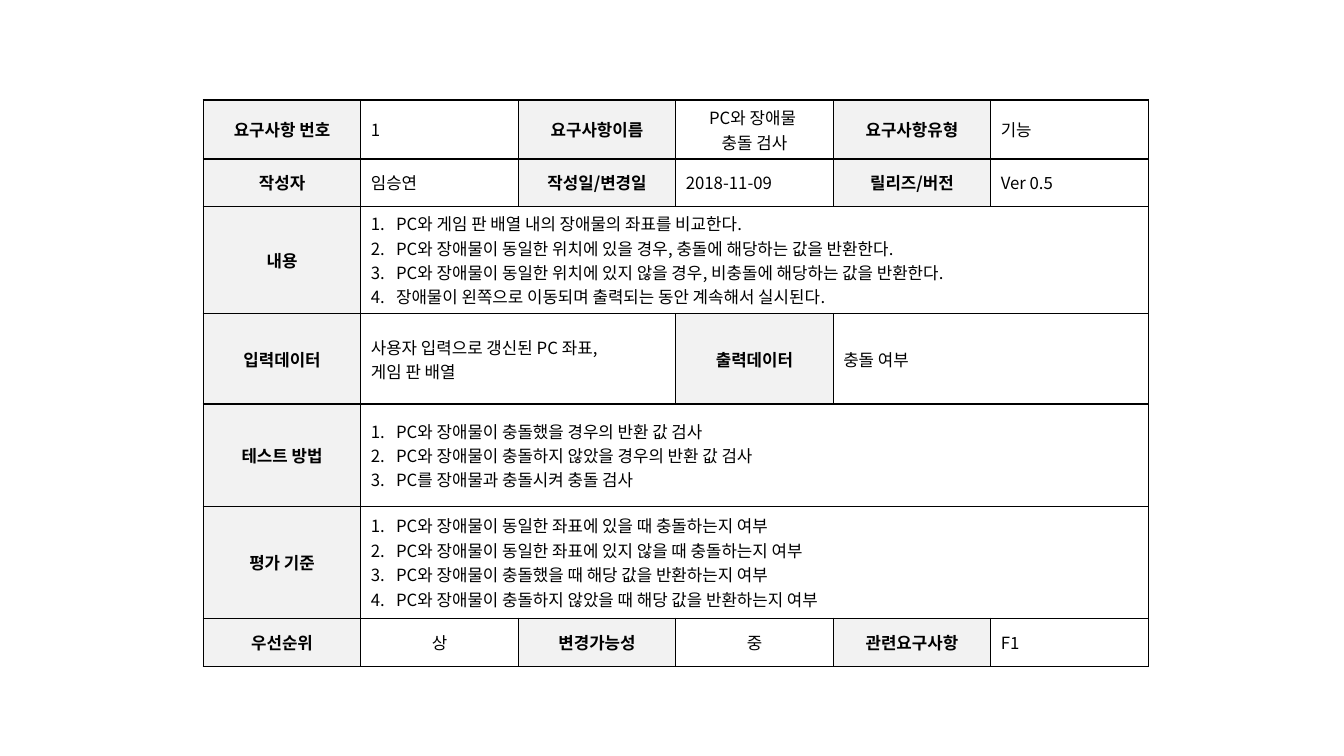
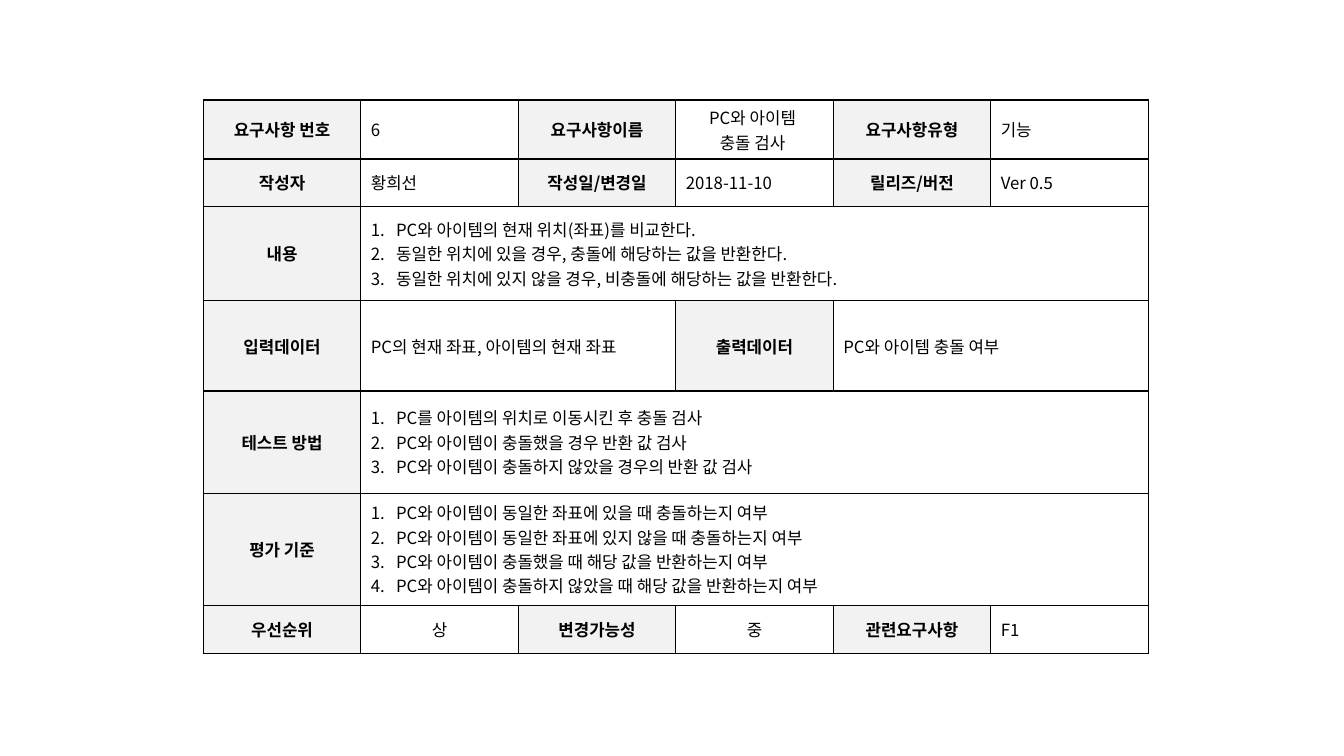
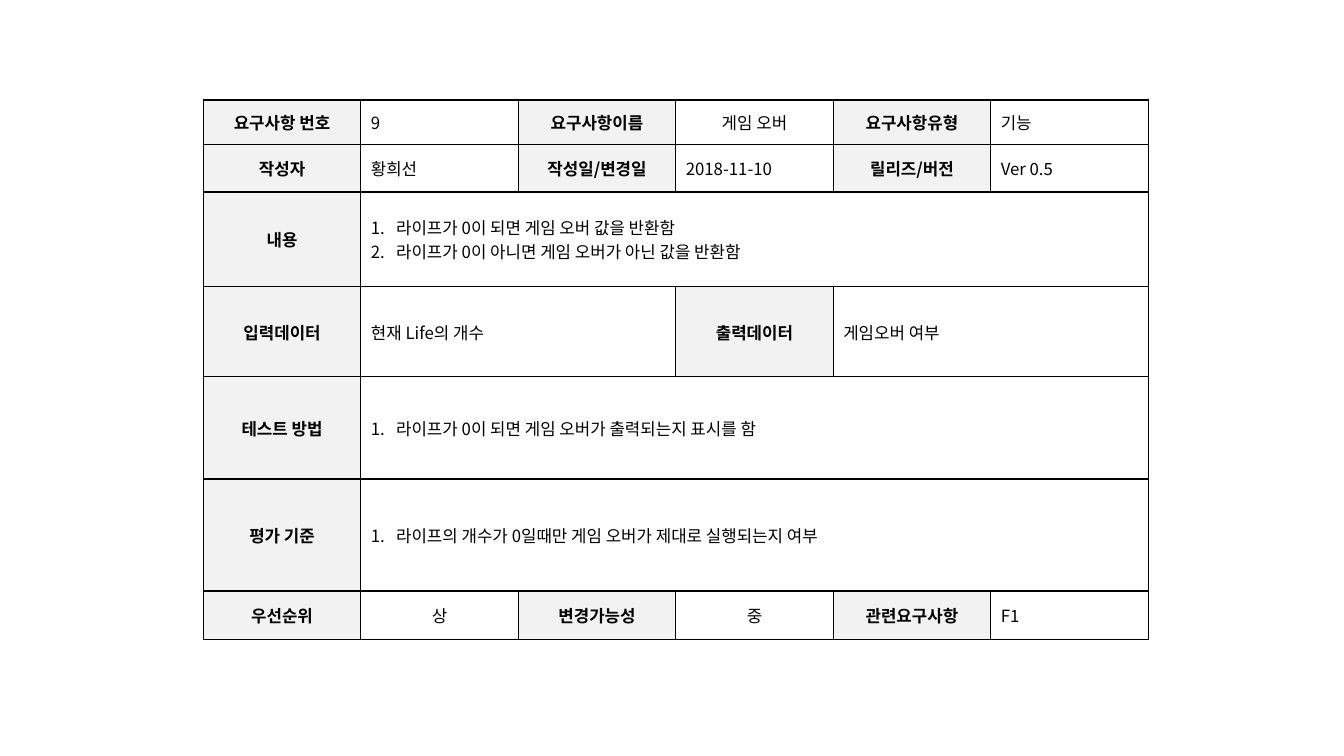
from pptx import Presentation
from pptx.dml.color import RGBColor
from pptx.enum.text import MSO_ANCHOR, PP_ALIGN
from pptx.oxml.ns import qn
from pptx.util import Pt
from lxml.etree import SubElement

COLORS = {"text": "000000", "border": "000000", "label": "F2F2F2", "value": "FFFFFF"}
FONT = "Noto Sans CJK KR"
FONT_SIZE = 12
INDENT = 18
COLUMNS = 6
COLUMN_WIDTH = 112.5
ROW_HEIGHTS = [32, 33.75, 67.5, 64.5, 73, 80, 34.75]
TABLE_LEFT, TABLE_TOP = 145.25, 71.5

REQUIREMENTS = [
    {
        "number": "1",
        "name": ["PC와 장애물 ", "충돌 검사"],
        "author": "임승연",
        "date": "2018-11-09",
        "content": [
            "PC와 게임 판 배열 내의 장애물의 좌표를 비교한다.",
            "PC와 장애물이 동일한 위치에 있을 경우, 충돌에 해당하는 값을 반환한다.",
            "PC와 장애물이 동일한 위치에 있지 않을 경우, 비충돌에 해당하는 값을 반환한다.",
            "장애물이 왼쪽으로 이동되며 출력되는 동안 계속해서 실시된다.",
        ],
        "input": ["사용자 입력으로 갱신된 PC 좌표,", "게임 판 배열"],
        "output": "충돌 여부",
        "tests": [
            "PC와 장애물이 충돌했을 경우의 반환 값 검사",
            "PC와 장애물이 충돌하지 않았을 경우의 반환 값 검사",
            "PC를 장애물과 충돌시켜 충돌 검사",
        ],
        "criteria": [
            "PC와 장애물이 동일한 좌표에 있을 때 충돌하는지 여부",
            "PC와 장애물이 동일한 좌표에 있지 않을 때 충돌하는지 여부",
            "PC와 장애물이 충돌했을 때 해당 값을 반환하는지 여부",
            "PC와 장애물이 충돌하지 않았을 때 해당 값을 반환하는지 여부",
        ],
    },
    {
        "number": "6",
        "name": ["PC와 아이템 ", "충돌 검사 "],
        "author": "황희선",
        "date": "2018-11-10",
        "content": [
            "PC와 아이템의 현재 위치(좌표)를 비교한다.",
            "동일한 위치에 있을 경우, 충돌에 해당하는 값을 반환한다.",
            "동일한 위치에 있지 않을 경우, 비충돌에 해당하는 값을 반환한다.",
        ],
        "input": "PC의 현재 좌표, 아이템의 현재 좌표",
        "output": "PC와 아이템 충돌 여부",
        "tests": [
            "PC를 아이템의 위치로 이동시킨 후 충돌 검사",
            "PC와 아이템이 충돌했을 경우 반환 값 검사",
            "PC와 아이템이 충돌하지 않았을 경우의 반환 값 검사",
        ],
        "criteria": [
            "PC와 아이템이 동일한 좌표에 있을 때 충돌하는지 여부",
            "PC와 아이템이 동일한 좌표에 있지 않을 때 충돌하는지 여부",
            "PC와 아이템이 충돌했을 때 해당 값을 반환하는지 여부",
            "PC와 아이템이 충돌하지 않았을 때 해당 값을 반환하는지 여부",
        ],
    },
    {
        "number": "9",
        "name": "게임 오버",
        "author": "황희선",
        "date": "2018-11-10",
        "content": [
            "라이프가 0이 되면 게임 오버 값을 반환함",
            "라이프가 0이 아니면 게임 오버가 아닌 값을 반환함",
        ],
        "input": "현재 Life의 개수",
        "output": "게임오버 여부",
        "tests": ["라이프가 0이 되면 게임 오버가 출력되는지 표시를 함"],
        "criteria": ["라이프의 개수가 0일때만 게임 오버가 제대로 실행되는지 여부"],
    },
]


def form_rows(req):
    """Return the form's rows, each a list of (label, value, layout) fields."""
    return [
        [("요구사항 번호", req["number"], "left"),
         ("요구사항이름", req["name"], "center"),
         ("요구사항유형", "기능", "left")],
        [("작성자", req["author"], "left"),
         ("작성일/변경일", req["date"], "left"),
         ("릴리즈/버전", "Ver 0.5", "left")],
        [("내용", req["content"], "numbered")],
        [("입력데이터", req["input"], "left"), ("출력데이터", req["output"], "left")],
        [("테스트 방법", req["tests"], "numbered")],
        [("평가 기준", req["criteria"], "numbered")],
        [("우선순위", "상", "center"),
         ("변경가능성", "중", "center"),
         ("관련요구사항", "F1", "left")],
    ]


class Deck:
    """Holds the presentation, its style and the current slide."""

    def __init__(self):
        self.prs = Presentation()
        self.prs.slide_width, self.prs.slide_height = Pt(960), Pt(540)
        self.slide = None

    def add_slide(self):
        self.slide = self.prs.slides.add_slide(self.prs.slide_layouts[6])

    def color(self, name):
        return RGBColor.from_string(COLORS[name])

    def style_cell(self, cell, fill):
        tcPr = cell._tc.get_or_add_tcPr()
        for side in ("lnL", "lnR", "lnT", "lnB"):
            ln = SubElement(tcPr, qn(f"a:{side}"), w=str(Pt(1)))
            solid = SubElement(ln, qn("a:solidFill"))
            SubElement(solid, qn("a:srgbClr"), val=COLORS["border"])
        cell.fill.solid()
        cell.fill.fore_color.rgb = self.color(fill)
        cell.vertical_anchor = MSO_ANCHOR.MIDDLE

    def number(self, p):
        pPr = p._p.get_or_add_pPr()
        pPr.set("marL", str(Pt(INDENT)))
        pPr.set("indent", str(-Pt(INDENT)))
        SubElement(pPr, qn("a:buFont"), typeface="+mj-lt")
        SubElement(pPr, qn("a:buAutoNum"), type="arabicPeriod")

    def cell_text(self, cell, text, layout, bold=False):
        """Fill a cell with one paragraph per line of text."""
        lines = [text] if isinstance(text, str) else text
        tf = cell.text_frame
        for i, line in enumerate(lines):
            p = tf.add_paragraph() if i else tf.paragraphs[0]
            p.alignment = PP_ALIGN.CENTER if layout == "center" else PP_ALIGN.LEFT
            if layout == "numbered":
                self.number(p)
            r = p.add_run()
            r.text = line
            r.font.size, r.font.bold, r.font.name = Pt(FONT_SIZE), bold, FONT
            r.font.color.rgb = self.color("text")
            SubElement(r._r.get_or_add_rPr(), qn("a:ea"), typeface=FONT)

    def form(self, rows):
        """Draw a table in which the fields of a row share its columns equally."""
        frame = self.slide.shapes.add_table(
            len(rows), COLUMNS, Pt(TABLE_LEFT), Pt(TABLE_TOP),
            Pt(COLUMNS * COLUMN_WIDTH), Pt(sum(ROW_HEIGHTS)))
        table = frame.table
        table.first_row = table.horz_banding = False
        for column in table.columns:
            column.width = Pt(COLUMN_WIDTH)
        for i, (fields, height) in enumerate(zip(rows, ROW_HEIGHTS)):
            table.rows[i].height = Pt(height)
            span = COLUMNS // len(fields)
            for j, (label, value, layout) in enumerate(fields):
                label_cell, *value_cells = [
                    table.cell(i, j * span + k) for k in range(span)]
                self.style_cell(label_cell, "label")
                self.cell_text(label_cell, label, "center", bold=True)
                for cell in value_cells:
                    self.style_cell(cell, "value")
                if len(value_cells) > 1:
                    value_cells[0].merge(value_cells[-1])
                self.cell_text(value_cells[0], value, layout)


def main():
    deck = Deck()
    for req in REQUIREMENTS:
        deck.add_slide()
        deck.form(form_rows(req))
    deck.prs.save("out.pptx")


if __name__ == "__main__":
    main()
